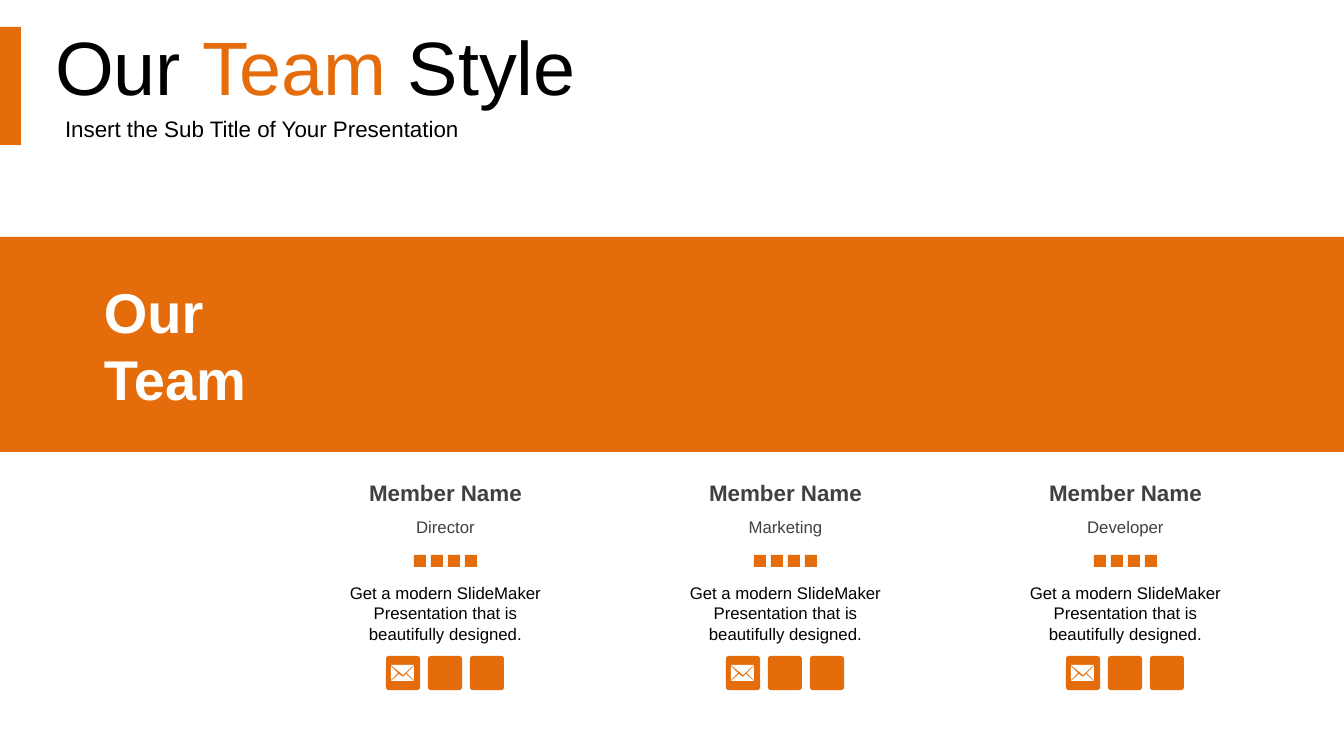
from pptx import Presentation
from pptx.dml.color import RGBColor
from pptx.enum.shapes import MSO_SHAPE
from pptx.enum.text import MSO_ANCHOR, MSO_AUTO_SIZE, PP_ALIGN
from pptx.util import Pt

COLORS = {"accent": "E46C0A", "black": "000000", "gray": "404040", "white": "FFFFFF"}
MEMBERS = ["Director", "Marketing", "Developer"]
DESCRIPTION = "Get a modern SlideMaker Presentation that is beautifully designed."
ENVELOPE = [
    [(5, 9), (28, 9), (17, 19)],
    [(5, 10), (12, 17), (5, 24)],
    [(28, 10), (28, 24), (21, 17)],
    [(5, 25), (13, 18), (17, 21), (20, 18), (28, 25)],
]


class Deck:
    scale = 12192000 / 1344
    font = "Arial"

    def __init__(self):
        self.prs = Presentation()
        self.prs.slide_width = self.emu(1344)
        self.prs.slide_height = self.emu(756)
        self.s = self.prs.slides.add_slide(self.prs.slide_layouts[0])

    def emu(self, px):
        return round(px * self.scale)

    def color(self, name):
        return RGBColor.from_string(COLORS[name])

    def paint(self, sp, fill):
        sp.shadow.inherit = False
        sp.fill.solid()
        sp.fill.fore_color.rgb = self.color(fill)
        sp.line.fill.background()

    def shape(self, x, y, w, h, kind=MSO_SHAPE.RECTANGLE):
        sp = self.s.shapes.add_shape(kind, *map(self.emu, (x, y, w, h)))
        self.paint(sp, "accent")
        return sp

    def icon(self, x, y, size):
        sp = self.shape(x, y, size, size, MSO_SHAPE.ROUNDED_RECTANGLE)
        sp.adjustments[0] = 0.08

    def polygon(self, x, y, points):
        points = [(self.emu(x + dx), self.emu(y + dy)) for dx, dy in points]
        builder = self.s.shapes.build_freeform(*points[0])
        builder.add_line_segments(points[1:], close=True)
        self.paint(builder.convert_to_shape(), "white")

    def style(self, p, size, color, bold=False, align=PP_ALIGN.LEFT):
        p.alignment = align
        p.space_before = Pt(0)
        p.font.name = self.font
        p.font.size = Pt(size)
        p.font.bold = bold
        p.font.color.rgb = self.color(color)

    def text(self, x, y, w, h, text, size, color, bold=False,
             align=PP_ALIGN.CENTER, anchor=MSO_ANCHOR.MIDDLE):
        tf = self.s.shapes.add_textbox(*map(self.emu, (x, y, w, h))).text_frame
        tf.word_wrap = True
        tf.vertical_anchor = anchor
        tf.text = text
        for p in tf.paragraphs:
            self.style(p, size, color, bold, align)

    def heading(self, idx, x, y, w, h, inset, size, parts):
        sp = self.s.placeholders[idx]
        sp.left, sp.top, sp.width, sp.height = map(self.emu, (x, y, w, h))
        tf = sp.text_frame
        tf.word_wrap = True
        tf.auto_size = MSO_AUTO_SIZE.NONE
        tf.vertical_anchor = MSO_ANCHOR.MIDDLE
        tf.margin_left = self.emu(inset)
        tf.margin_top = tf.margin_right = self.emu(10)
        tf.margin_bottom = self.emu(5)
        p = tf.paragraphs[0]
        self.style(p, size, "black")
        p.line_spacing = 0.9
        for text, color in parts:
            r = p.add_run()
            r.text = text
            r.font.color.rgb = self.color(color)

    def member(self, x, role):
        self.text(x, 477, 215, 31, "Member Name", 16, "gray", bold=True)
        self.text(x, 511, 215, 31, role, 12, "gray")
        for i in range(4):
            self.shape(x + 76 + 17 * i, 555, 12, 12)
        self.text(x, 578, 215, 72, DESCRIPTION, 12, "black", anchor=MSO_ANCHOR.TOP)
        for i in range(3):
            self.icon(x + 48 + 42 * i, 656, 34)
        for points in ENVELOPE:
            self.polygon(x + 48, 656, points)


def main():
    deck = Deck()
    deck.shape(0, 27, 21, 118)
    deck.shape(0, 237, 1344, 215)
    deck.heading(0, 45, 29, 1265, 80, 10, 54,
                 [("Our ", "black"), ("Team", "accent"), (" Style", "black")])
    deck.heading(1, 45, 109, 1265, 38, 20, 16,
                 [("Insert the Sub Title of Your Presentation", "black")])
    deck.text(94, 245, 215, 199, "Our\nTeam", 40, "white", bold=True, align=PP_ALIGN.LEFT)
    for i, role in enumerate(MEMBERS):
        deck.member(338 + 340 * i, role)
    deck.prs.save("out.pptx")


if __name__ == "__main__":
    main()
